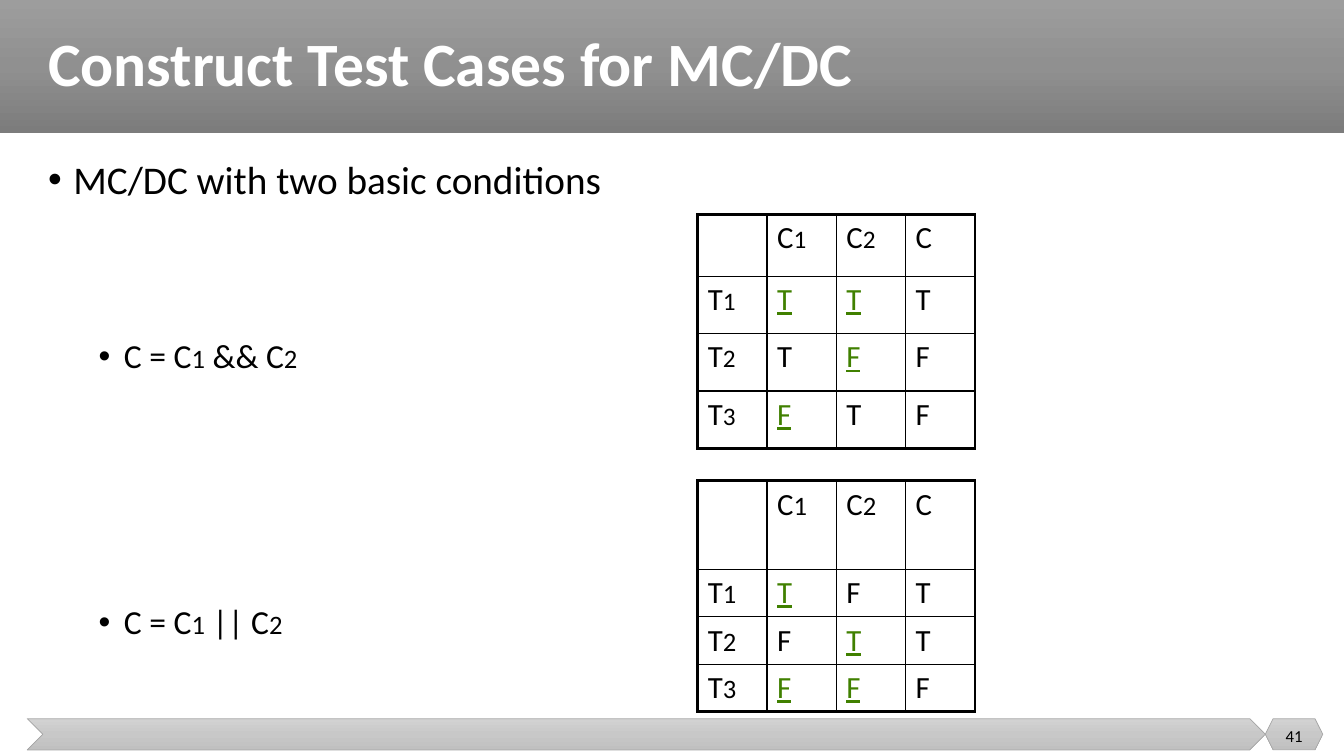
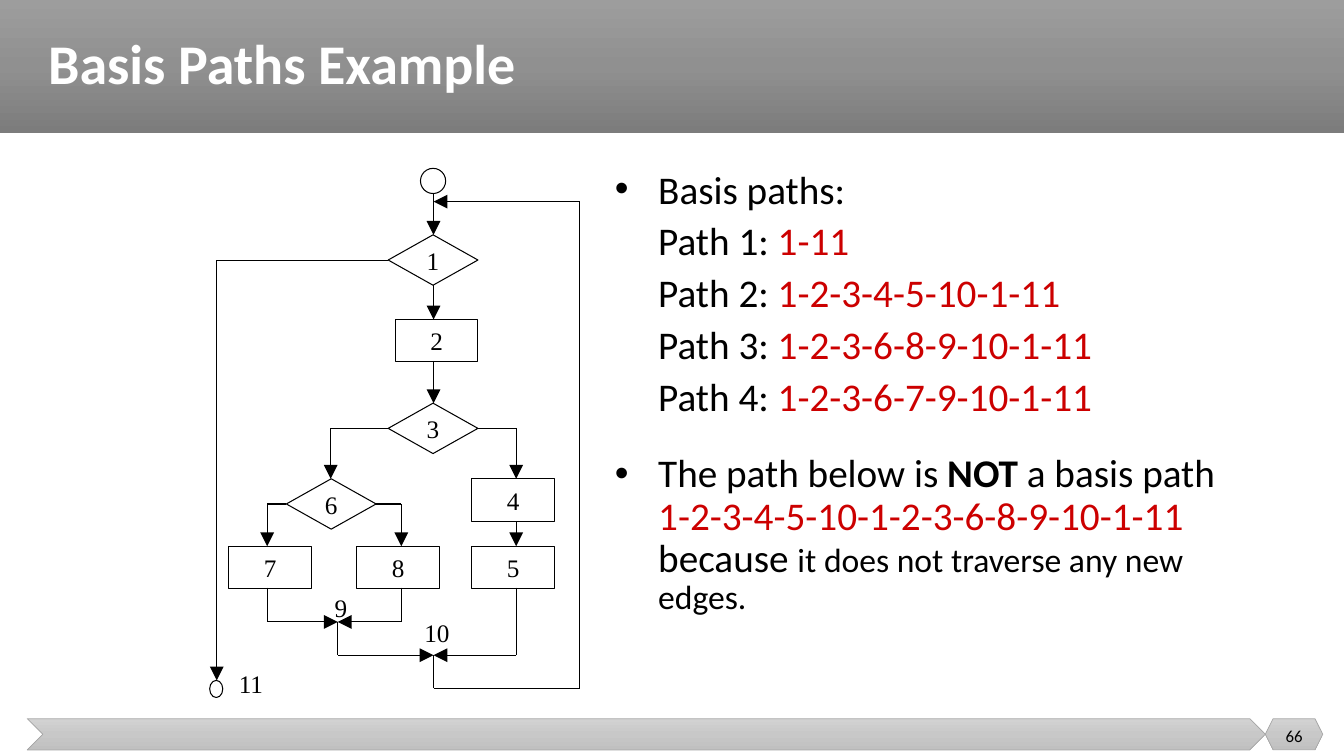
"""Builds two lesson slides on test coverage: MC/DC tables and a basis path graph."""
from dataclasses import dataclass
from typing import Any

from lxml.etree import SubElement as Sub
from pptx import Presentation
from pptx.dml.color import RGBColor as Rgb
from pptx.enum.shapes import MSO_CONNECTOR as Link
from pptx.enum.shapes import MSO_SHAPE as Form
from pptx.enum.text import MSO_ANCHOR as Anchor
from pptx.enum.text import PP_ALIGN as Align
from pptx.oxml.ns import qn
from pptx.util import Pt

PX = 9144
WIDTH, HEIGHT = 1333, 750
BLACK = Rgb(0x00, 0x00, 0x00)
WHITE = Rgb(0xFF, 0xFF, 0xFF)
RED = Rgb(0xCC, 0x00, 0x00)
GREEN = Rgb(0x40, 0x80, 0x00)
EDGE = Rgb(0xA5, 0xA5, 0xA5)
BAND = (Rgb(0x9D, 0x9D, 0x9D), Rgb(0x90, 0x90, 0x90), Rgb(0x7C, 0x7C, 0x7C))
FOOT = (Rgb(0xD2, 0xD2, 0xD2), Rgb(0xC8, 0xC8, 0xC8), Rgb(0xC0, 0xC0, 0xC0))
SANS, SERIF = "Calibri", "Times New Roman"
THIN, THICK = 1, 2.25


@dataclass(frozen=True)
class Box:
    left: int
    top: int
    width: int
    height: int

    def emu(self) -> list[int]:
        return [n * PX for n in (self.left, self.top, self.width, self.height)]


@dataclass(frozen=True)
class Run:
    text: str
    size: int = 28
    color: Rgb = BLACK
    bold: bool = False
    under: bool = False
    face: str = SANS


@dataclass(frozen=True)
class Para:
    runs: tuple[Run, ...]
    left: int = 0
    hang: int = 0
    lines: float = 1.0
    before: int = 0
    after: int = 0
    align: Align = Align.LEFT


@dataclass(frozen=True)
class Node:
    form: Form
    box: Box
    text: str = ""


@dataclass(frozen=True)
class Route:
    points: tuple[tuple[int, int], ...]


@dataclass(frozen=True)
class Grid:
    top: int
    rows: tuple[int, ...]
    small: int
    cells: tuple[str, ...]


def apply(item: Any, values: dict[str, Any]) -> None:
    for name, value in values.items():
        setattr(item, name, value)


def write(frame: Any, paras: tuple[Para, ...], **form: Any) -> None:
    apply(frame, {"word_wrap": True, **form})
    for n, para in enumerate(paras):
        block = frame.add_paragraph() if n else frame.paragraphs[0]
        if para.hang:
            props = block._p.get_or_add_pPr()
            props.set("marL", str(para.left * PX))
            props.set("indent", str(-para.hang * PX))
            Sub(props, qn("a:buFont")).set("typeface", "Arial")
            Sub(props, qn("a:buChar")).set("char", "•")
        apply(block, {"alignment": para.align, "line_spacing": para.lines,
                      "space_before": Pt(para.before), "space_after": Pt(para.after)})
        for run in para.runs:
            for k, part in enumerate(run.text.split("\n")):
                if k:
                    block.add_line_break()
                if part:
                    piece = block.add_run()
                    piece.text = part
                    apply(piece.font, {"size": Pt(run.size), "name": run.face,
                                       "bold": run.bold, "underline": run.under})
                    piece.font.color.rgb = run.color


def add_text(slide: Any, box: Box, *paras: Para, **form: Any) -> None:
    write(slide.shapes.add_textbox(*box.emu()).text_frame, paras, **form)


def add_bar(slide: Any, form: Form, box: Box, tones: tuple[Rgb, ...], edge: Rgb | None = None) -> None:
    bar = slide.shapes.add_shape(form, *box.emu())
    bar.shadow.inherit = False
    bar.fill.gradient()
    bar.fill.gradient_angle = 270
    stops = bar._element.spPr.find(qn("a:gradFill")).find(qn("a:gsLst"))
    for stop in list(stops):
        stops.remove(stop)
    for n, tone in enumerate(tones):
        stop = Sub(stops, qn("a:gs"))
        stop.set("pos", str(n * 50000))
        Sub(stop, qn("a:srgbClr")).set("val", str(tone))
    if edge is None:
        bar.line.fill.background()
    else:
        bar.line.color.rgb = edge
        bar.line.width = Pt(0.5)


def add_page(deck: Any, title: str, size: int, number: int) -> Any:
    slide = deck.slides.add_slide(deck.slide_layouts[6])
    add_bar(slide, Form.RECTANGLE, Box(0, 0, WIDTH, 132), BAND)
    add_bar(slide, Form.CHEVRON, Box(27, 713, 1228, 31), FOOT, EDGE)
    add_bar(slide, Form.HEXAGON, Box(1255, 713, 57, 31), FOOT, EDGE)
    add_text(slide, Box(38, 0, 1274, 132), Para((Run(title, size, WHITE, True),), lines=0.9),
             vertical_anchor=Anchor.MIDDLE)
    add_text(slide, Box(1255, 710, 57, 40), Para((Run(str(number), 12),), align=Align.CENTER),
             vertical_anchor=Anchor.MIDDLE)
    return slide


def add_border(cell: Any, side: str, width: float) -> None:
    line = Sub(cell._tc.get_or_add_tcPr(), qn(f"a:ln{side}"))
    line.set("w", str(Pt(width)))
    Sub(Sub(line, qn("a:solidFill")), qn("a:srgbClr")).set("val", str(BLACK))


def add_grid(slide: Any, grid: Grid) -> None:
    count = len(grid.rows)
    box = Box(692, grid.top, 275, sum(grid.rows))
    table = slide.shapes.add_table(count, count, *box.emu()).table
    apply(table, {"first_row": False, "horz_banding": False})
    for row, height in zip(table.rows, grid.rows):
        row.height = height * PX
    for r, words in enumerate(grid.cells):
        for c, word in enumerate(words.split()):
            cell = table.cell(r, c)
            rims = {"L": c == 0, "R": c == count - 1, "T": r == 0, "B": r == count - 1}
            for side, outer in rims.items():
                add_border(cell, side, THICK if outer else THIN)
            cell.fill.background()
            if word == "-":
                continue
            mark = word.startswith("*")
            word = word.lstrip("*")
            runs = (Run(word[0], 22, GREEN if mark else BLACK, under=mark), Run(word[1:], grid.small))
            write(cell.text_frame, (Para(runs),))


def add_node(slide: Any, node: Node) -> None:
    shape = slide.shapes.add_shape(node.form, *node.box.emu())
    shape.shadow.inherit = False
    shape.fill.solid()
    shape.fill.fore_color.rgb = WHITE
    shape.line.color.rgb = BLACK
    shape.line.width = Pt(0.75)
    if node.text:
        label = Para((Run(node.text, 18, face=SERIF),), align=Align.CENTER)
        write(shape.text_frame, (label,), word_wrap=False, vertical_anchor=Anchor.MIDDLE)


def add_route(slide: Any, route: Route) -> None:
    legs = list(zip(route.points, route.points[1:]))
    for n, (start, end) in enumerate(legs, 1):
        line = slide.shapes.add_connector(Link.STRAIGHT, *[v * PX for v in start + end])
        line.line.color.rgb = BLACK
        line.line.width = Pt(0.75)
        if n == len(legs):
            head = Sub(line.line._get_or_add_ln(), qn("a:tailEnd"))
            for key, value in {"type": "triangle", "w": "lg", "len": "lg"}.items():
                head.set(key, value)
        Sub(line._element.spPr, qn("a:effectLst"))


def rule(sign: str, before: int) -> Para:
    runs = (Run("C = C", 24), Run("1", 19), Run(f" {sign} C", 24), Run("2", 19))
    return Para(runs, 75, 25, 0.9, before)


GRIDS = (
    Grid(213, (61, 57, 57, 57), 18, ("- C1 C2 C", "T1 *T *T T", "T2 T *F F", "T3 *F T F")),
    Grid(477, (88, 47, 47, 47), 19, ("- C1 C2 C", "T1 *T F T", "T2 F *T T", "T3 *F *F F")),
)
PATHS = ("1-11", "1-2-3-4-5-10-1-11", "1-2-3-6-8-9-10-1-11", "1-2-3-6-7-9-10-1-11")
NODES = (
    Node(Form.OVAL, Box(417, 167, 25, 25)),
    *(Node(Form.DIAMOND, Box(x, y, 89, 50), text)
      for x, y, text in ((385, 233, "1"), (385, 400, "3"), (284, 475, "6"))),
    *(Node(Form.RECTANGLE, Box(x, y, 82, 42), text)
      for x, y, text in ((392, 317, "2"), (468, 475, "4"), (468, 542, "5"),
                         (227, 542, "7"), (354, 542, "8"))),
    Node(Form.OVAL, Box(208, 675, 13, 17)),
)
ROUTES = (
    Route(((430, 192), (430, 233))),
    Route(((430, 283), (430, 317))),
    Route(((430, 358), (430, 400))),
    Route(((385, 425), (328, 425), (328, 475))),
    Route(((474, 425), (512, 425), (512, 475))),
    Route(((512, 517), (512, 542))),
    Route(((284, 500), (265, 500), (265, 542))),
    Route(((373, 500), (398, 500), (398, 542))),
    Route(((265, 583), (265, 617), (335, 617))),
    Route(((398, 583), (398, 617), (335, 617))),
    Route(((335, 617), (335, 650), (430, 650))),
    Route(((512, 583), (512, 650), (430, 650))),
    Route(((430, 650), (430, 683), (575, 683), (575, 200), (430, 200))),
    Route(((385, 258), (215, 258), (215, 675))),
)
LABELS = (("9", Box(322, 583, 25, 40)), ("10", Box(411, 608, 64, 40)), ("11", Box(227, 658, 64, 40)))


def draw_tables(deck: Any) -> None:
    slide = add_page(deck, "Construct Test Cases for MC/DC", 44, 41)
    add_text(slide, Box(38, 154, 640, 519),
             Para((Run("MC/DC with two basic conditions"),), 25, 25, 0.9),
             rule("&&", 98), rule("||", 164))
    for grid in GRIDS:
        add_grid(slide, grid)


def draw_paths(deck: Any) -> None:
    slide = add_page(deck, "Basis Paths Example", 40, 66)
    basis = [Run("Basis paths:")]
    for n, steps in enumerate(PATHS, 1):
        basis += [Run(f"\nPath {n}: "), Run(steps, color=RED)]
    other = (Run("The path below is "), Run("NOT", bold=True), Run(" a basis path "),
             Run("1-2-3-4-5-10-1-2-3-6-8-9-10-1-11 ", color=RED), Run("because "),
             Run("it does not traverse any new edges.", 24))
    add_text(slide, Box(600, 154, 641, 540), Para(tuple(basis), 43, 43, 1.1, after=12),
             Para(other, 43, 43, 0.9, 13, 12))
    for node in NODES:
        add_node(slide, node)
    for route in ROUTES:
        add_route(slide, route)
    for text, box in LABELS:
        add_text(slide, box, Para((Run(text, 18, face=SERIF),)))


def main() -> None:
    deck = Presentation()
    apply(deck, {"slide_width": WIDTH * PX, "slide_height": HEIGHT * PX})
    draw_tables(deck)
    draw_paths(deck)
    deck.save("out.pptx")


if __name__ == "__main__":
    main()
